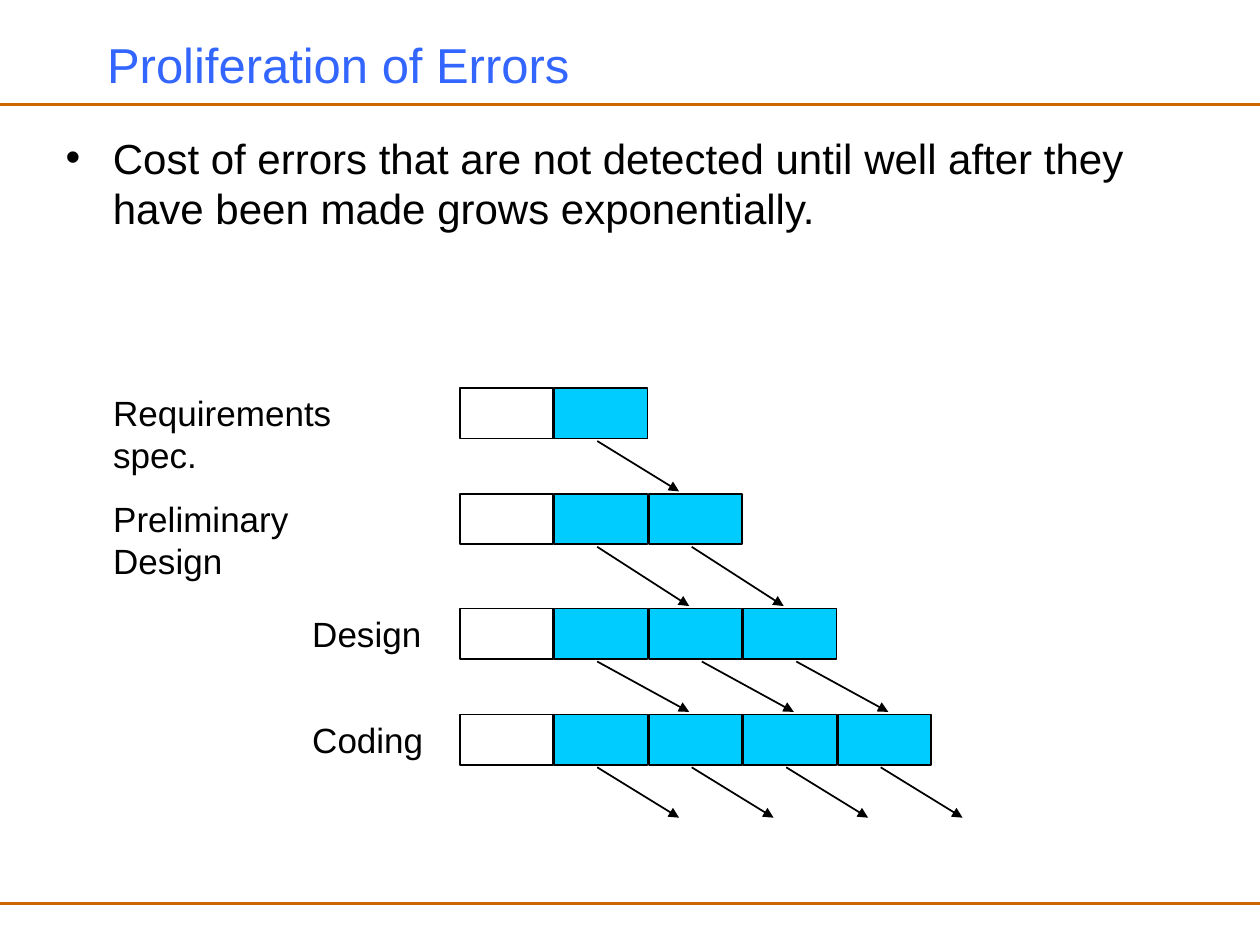
from lxml.etree import SubElement
from pptx import Presentation
from pptx.dml.color import RGBColor
from pptx.enum.shapes import MSO_CONNECTOR, MSO_SHAPE
from pptx.enum.text import MSO_ANCHOR, MSO_AUTO_SIZE, PP_ALIGN
from pptx.oxml.ns import qn
from pptx.util import Inches, Pt

COLORS = {"title": "3366FF", "text": "000000", "rule": "CC6600", "error": "00CCFF"}
FONT = "Arial"

BOX_LEFT, BOX_W, BOX_H, PITCH = 3.65, 0.74, 0.4, 0.75
ARROW_LEFT = 4.74
LAST_ARROW_END = 6.49

# label, label left, label width, top, shift of later arrows, arrow run
PHASES = [
    ("Requirements spec.", 0.8, 2.45, 3.08, 0, 0.65),
    ("Preliminary Design", 0.8, 2.45, 3.92, 0, 0.73),
    ("Design", 2.38, 1.2, 4.83, 0.08, 0.73),
    ("Coding", 2.38, 1.2, 5.67, 0, 0.65),
]


class SlideBuilder:
    def __init__(self, s):
        self.s = s

    def color(self, name):
        return RGBColor.from_string(COLORS[name])

    def style(self, p, size, color):
        p.font.name = FONT
        p.font.size = Pt(size)
        p.font.color.rgb = self.color(color)
        p.alignment = PP_ALIGN.LEFT

    def placeholder(self, index, text, box, size, color, anchor):
        sp = self.s.placeholders[index]
        sp.left, sp.top, sp.width, sp.height = map(Inches, box)
        tf = sp.text_frame
        tf.text = text
        tf.auto_size = MSO_AUTO_SIZE.NONE
        tf.vertical_anchor = anchor
        self.style(tf.paragraphs[0], size, color)

    def label(self, text, left, top, width):
        sp = self.s.shapes.add_textbox(Inches(left), Inches(top), Inches(width), Inches(0.43))
        tf = sp.text_frame
        tf.word_wrap = True
        tf.text = text
        self.style(tf.paragraphs[0], 20, "text")

    def box(self, left, top, fill=None):
        sp = self.s.shapes.add_shape(
            MSO_SHAPE.RECTANGLE, Inches(left), Inches(top), Inches(BOX_W), Inches(BOX_H))
        sp.shadow.inherit = False
        if fill:
            sp.fill.solid()
            sp.fill.fore_color.rgb = self.color(fill)
        else:
            sp.fill.background()
        sp.line.color.rgb = self.color("text")
        sp.line.width = Pt(1)

    def line(self, start, end, color, width, arrow=False):
        c = self.s.shapes.add_connector(
            MSO_CONNECTOR.STRAIGHT, *map(Inches, (*start, *end)))
        c.line.color.rgb = self.color(color)
        c.line.width = Pt(width)
        if arrow:
            SubElement(c.line._get_or_add_ln(), qn("a:tailEnd"), type="triangle")
        SubElement(c._element.spPr, qn("a:effectLst"))


def main():
    prs = Presentation()
    prs.slide_width, prs.slide_height = Inches(10), Inches(7.5)
    b = SlideBuilder(prs.slides.add_slide(prs.slide_layouts[1]))

    for y in (0.83, 7.17):
        b.line((0, y), (10, y), "rule", 2)
    b.placeholder(0, "Proliferation of Errors", (0.75, 0.17, 8.5, 0.67),
                  28, "title", MSO_ANCHOR.MIDDLE)
    b.placeholder(1, "Cost of errors that are not detected until well after they "
                  "have been made grows exponentially.", (0.42, 1, 9.17, 6.08),
                  24, "text", MSO_ANCHOR.TOP)

    arrow_ends = [phase[3] - 0.02 for phase in PHASES[1:]] + [LAST_ARROW_END]
    for errors, (phase, end_y) in enumerate(zip(PHASES, arrow_ends), start=1):
        text, left, width, top, shift, run = phase
        b.label(text, left, top - 0.02, width)
        b.box(BOX_LEFT, top)
        for i in range(errors):
            b.box(BOX_LEFT + (i + 1) * PITCH, top, "error")
            x = ARROW_LEFT + i * PITCH + (shift if i else 0)
            b.line((x, top + 0.42), (x + run, end_y), "text", 1, arrow=True)

    prs.save("out.pptx")


if __name__ == "__main__":
    main()
